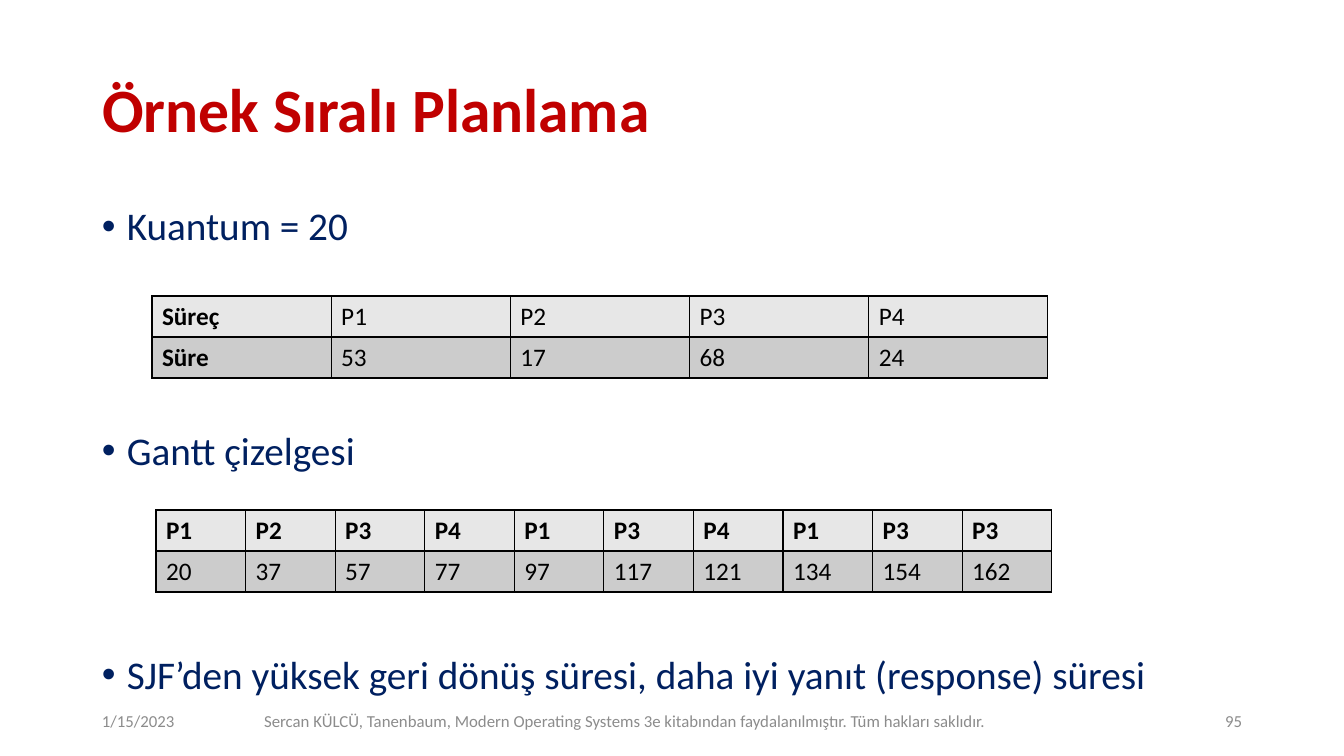
from dataclasses import dataclass

from pptx import Presentation
from pptx.dml.color import RGBColor as Rgb
from pptx.enum.text import MSO_ANCHOR as Anchor, MSO_AUTO_SIZE as AutoSize, PP_ALIGN as Align
from pptx.oxml import parse_xml
from pptx.oxml.ns import nsdecls
from pptx.util import Pt

EMU_PER_PX = 914400 / 100.8
TITLE_ONLY = 5


def px(length):
    return round(length * EMU_PER_PX)


@dataclass(frozen=True)
class Theme:
    font: str = "Calibri"
    title: str = "C00000"
    body: str = "002060"
    footer: str = "8C8C8C"
    ink: str = "000000"
    row_fills: tuple = ("E7E7E7", "CCCCCC")
    title_size: int = 44
    body_size: int = 28
    table_size: int = 18
    footer_size: int = 12
    line_spacing: float = 0.9
    border: float = 1


class SlideBuilder:
    def __init__(self, deck, theme):
        self.theme = theme
        self.slide = deck.slides.add_slide(deck.slide_layouts[TITLE_ONLY])

    def style(self, paragraph, size, color, bold=False, align=Align.LEFT):
        paragraph.alignment = align
        font = paragraph.font
        font.name, font.size, font.bold = self.theme.font, Pt(size), bold
        font.color.rgb = Rgb.from_string(color)

    def title(self, text, left, top, width, height):
        heading = self.slide.shapes.title
        heading.left, heading.top = px(left), px(top)
        heading.width, heading.height = px(width), px(height)
        frame = heading.text_frame
        frame.text = text
        frame.auto_size = AutoSize.NONE
        frame.vertical_anchor = Anchor.MIDDLE
        frame.paragraphs[0].line_spacing = self.theme.line_spacing
        self.style(frame.paragraphs[0], self.theme.title_size, self.theme.title, bold=True)

    def text_frame(self, left, top, width, height, anchor):
        frame = self.slide.shapes.add_textbox(px(left), px(top), px(width), px(height)).text_frame
        frame.word_wrap = True
        frame.vertical_anchor = anchor
        return frame

    def bullets(self, points, left, top, width, height, gap, indent):
        frame = self.text_frame(left, top, width, height, Anchor.TOP)
        for index, point in enumerate(points):
            paragraph = frame.add_paragraph() if index else frame.paragraphs[0]
            paragraph.text = point
            properties = paragraph._p.get_or_add_pPr()
            properties.set("marL", str(px(indent)))
            properties.set("indent", str(-px(indent)))
            properties.append(parse_xml(f'<a:buFont {nsdecls("a")} typeface="Arial"/>'))
            properties.append(parse_xml(f'<a:buChar {nsdecls("a")} char="•"/>'))
            paragraph.line_spacing = self.theme.line_spacing
            if index:
                paragraph.space_before = Pt(gap)
            self.style(paragraph, self.theme.body_size, self.theme.body)

    def table(self, rows, left, top, width, row_height, bold_row=False, bold_column=False):
        columns = len(rows[0])
        grid = self.slide.shapes.add_table(
            len(rows), columns, px(left), px(top), px(width), px(row_height * len(rows))).table
        grid.first_row = grid.horz_banding = False
        for column in grid.columns:
            column.width = px(width / columns)
        for r, row in enumerate(rows):
            grid.rows[r].height = px(row_height)
            for c, value in enumerate(row):
                cell = grid.cell(r, c)
                cell.text = value
                self.cell_borders(cell)
                cell.fill.solid()
                cell.fill.fore_color.rgb = Rgb.from_string(self.theme.row_fills[r])
                bold = (bold_row and r == 0) or (bold_column and c == 0)
                self.style(cell.text_frame.paragraphs[0], self.theme.table_size, self.theme.ink, bold)

    def cell_borders(self, cell):
        properties = cell._tc.get_or_add_tcPr()
        for side in ("lnL", "lnR", "lnT", "lnB"):
            properties.append(parse_xml(
                f'<a:{side} {nsdecls("a")} w="{Pt(self.theme.border)}"><a:solidFill>'
                f'<a:srgbClr val="{self.theme.ink}"/></a:solidFill></a:{side}>'))

    def footer(self, text, left, width, align):
        paragraph = self.text_frame(left, 701, width, 40, Anchor.MIDDLE).paragraphs[0]
        paragraph.text = text
        self.style(paragraph, self.theme.footer_size, self.theme.footer, align=align)


def main():
    deck = Presentation()
    deck.slide_width, deck.slide_height = px(1344), px(756)
    page = SlideBuilder(deck, Theme())

    # Title and bullet points, spaced to leave room for the tables
    page.title("Örnek Sıralı Planlama", 92, 40, 1159, 146)
    page.bullets(
        ["Kuantum = 20", "Gantt çizelgesi",
         "SJF’den yüksek geri dönüş süresi, daha iyi yanıt (response) süresi"],
        92, 202, 1159, 516, gap=130, indent=25)

    # Process durations
    durations = [["Süreç", "P1", "P2", "P3", "P4"],
                 ["Süre", "53", "17", "68", "24"]]
    page.table(durations, 152, 296, 896, 41, bold_column=True)

    # Gantt chart: process and finishing time of each turn
    gantt = [["P1", "P2", "P3", "P4", "P1", "P3", "P4", "P1", "P3", "P3"],
             ["20", "37", "57", "77", "97", "117", "121", "134", "154", "162"]]
    page.table(gantt, 156, 510, 896, 41, bold_row=True)

    # Footer
    page.footer("1/15/2023", 92, 302, Align.LEFT)
    page.footer("Sercan KÜLCÜ, Tanenbaum, Modern Operating Systems 3e kitabından "
                "faydalanılmıştır. Tüm hakları saklıdır.", 248, 754, Align.CENTER)
    page.footer("95", 950, 302, Align.RIGHT)

    deck.save("out.pptx")


if __name__ == "__main__":
    main()
